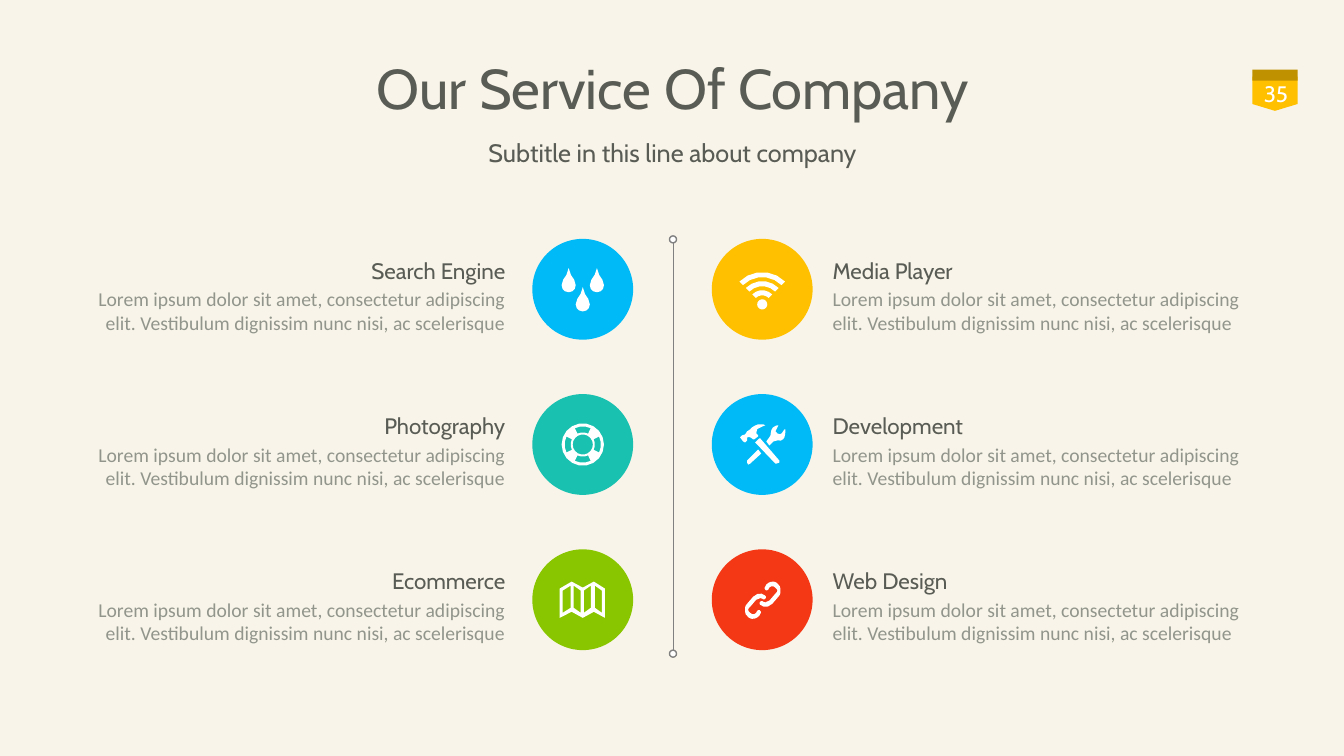
from dataclasses import dataclass
from math import ceil, cos, pi, sin

from lxml.etree import SubElement
from pptx import Presentation
from pptx.dml.color import RGBColor
from pptx.enum.shapes import MSO_CONNECTOR, MSO_SHAPE
from pptx.enum.text import MSO_ANCHOR, MSO_AUTO_SIZE, PP_ALIGN
from pptx.oxml.ns import qn
from pptx.shapes.autoshape import Shape
from pptx.slide import Slide
from pptx.text.text import TextFrame
from pptx.util import Emu, Pt

SCALE = 9144
CREAM = RGBColor(0xF8, 0xF4, 0xE9)
INK = RGBColor(0x59, 0x5C, 0x54)
MUTED = RGBColor(0x91, 0x95, 0x8B)
GRAY = RGBColor(0x80, 0x80, 0x80)
WHITE = RGBColor(0xFF, 0xFF, 0xFF)
GOLD = RGBColor(0xFF, 0xC0, 0x00)
BRONZE = RGBColor(0xBF, 0x90, 0x00)
BLUE = RGBColor(0x00, 0xBA, 0xF7)
TEAL = RGBColor(0x19, 0xC1, 0xB0)
GREEN = RGBColor(0x89, 0xC6, 0x00)
RED = RGBColor(0xF4, 0x38, 0x16)
LOREM = ("Lorem ipsum dolor sit amet, consectetur adipiscing elit. "
         "Vestibulum dignissim nunc nisi, ac scelerisque")
BENDS, SWEEP = 3, 20

Point = tuple[float, float]
Path = list[Point]


@dataclass(frozen=True)
class Side:
    disc: int
    text: int
    align: PP_ALIGN


@dataclass(frozen=True)
class Service:
    name: str
    side: Side
    row: int
    color: RGBColor
    icon: list[Path]


def px(size: float) -> Emu:
    return Emu(round(size * SCALE))


def trace(start: Point, *parts: tuple[Point, ...]) -> Path:
    path = [start]
    for part in parts:
        if len(part) == 3:
            knots = (path[-1], *part)
            for step in range(1, BENDS + 1):
                t = step / BENDS
                mix = ((1 - t) ** 3, 3 * t * (1 - t) ** 2, 3 * t * t * (1 - t), t ** 3)
                path.append((sum(m * k[0] for m, k in zip(mix, knots)),
                             sum(m * k[1] for m, k in zip(mix, knots))))
        else:
            path.extend(part)
    return path


def arc(radius: float, start: float, end: float, y: float = 0) -> Path:
    count = ceil(abs(end - start) / SWEEP)
    turns = [(start + (end - start) * i / count) * pi / 180 for i in range(count + 1)]
    return [(radius * cos(a), y + radius * sin(a)) for a in turns]


def band(outer: float, inner: float, mid: float, half: float, y: float = 0) -> Path:
    return arc(outer, mid - half, mid + half, y) + arc(inner, mid + half, mid - half, y)


def drop(x: int, y: int) -> Path:
    path = trace((0, 0), ((-1, 9), (-7, 10), (-7, 17)), ((-7, 21), (-4, 24), (0, 24)),
                 ((4, 24), (7, 21), (7, 17)), ((7, 10), (1, 9), (0, 0)))
    return [(x + a, y + b) for a, b in path]


def panel(left: int, right: int, rise: float) -> Path:
    high, low = -11.5 + rise, -11.5 - rise
    return [(left, high), (right, low), (right, low + 22), (left, high + 22)]


DROPS = [drop(-14, -21), drop(14, -21), drop(0, -2)]
BUOY = [arc(21, 0, 360), arc(10, 0, 360)] + [band(18, 12, mid, 26) for mid in range(0, 360, 90)]
WAVES = [arc(5, 0, 360, 15)] + [band(r, r - 5, 270, 45, 15) for r in (32, 23, 14)]
CHART = [
    [(-23, -11), (-11, -18), (0, -12), (11, -18), (22, -11),
     (22, 18), (11, 12), (0, 18), (-11, 12), (-23, 18)],
    panel(-20, -12, 2.5), panel(-9, -2, -2.5), panel(1, 8, 2.5), panel(12, 19, -2.5),
]
TOOLS = [
    trace((-15, -7), ((-13, -8), (-11, -7), (-9, -5)), ((-8, -5), (-4, -8)),
          ((-4, -9), (-6, -11)), ((-10, -16), (5, -19), (3, -19)),
          ((1, -20), (-4, -20)), ((-7, -19), (-11, -17), (-12, -15)),
          ((-15, -13), (-17, -10)), ((-20, -9), (-22, -7)),
          ((-19, -3), (-17, -2)), ((-15, -4),)),
    [(-2, -6), (-3, -6), (-7, -2), (13, 19), (14, 19), (17, 18), (17, 16)],
    trace((23, -15), ((22, -15), (20, -12)),
          ((19, -11), (18, -9), (15, -11)), ((13, -13), (14, -15)),
          ((16, -19), (15, -19)), ((14, -19), (9, -17), (9, -14)),
          ((8, -11), (9, -9), (7, -7)), ((4, -3), (7, 1)), ((11, -3), (15, -4)),
          ((19, -3), (21, -5), (22, -7)), ((23, -10), (23, -14), (23, -15))),
    [(-15, 16), (-15, 18), (-14, 20), (-12, 19), (-1, 9), (-4, 5)],
]
HOOK = trace((-5, 11), ((-6, 13),), ((-8, 15), (-10, 15), (-12, 13)),
             ((-13, 12), (-14, 11), (-14, 10)), ((-14, 9), (-13, 8), (-12, 7)),
             ((-6, 0),), ((-4, 0), (-2, -3), (0, -1)), ((1, 0), (2, 0), (3, -1)),
             ((4, -2), (4, -3), (3, -4)), ((0, -7), (-5, -7), (-9, -3)),
             ((-15, 4),), ((-17, 6), (-17, 7), (-17, 10)), ((-17, 12), (-17, 15), (-15, 16)),
             ((-14, 18), (-11, 19), (-10, 19)), ((-7, 19), (-5, 18), (-3, 16)),
             ((-2, 14),), ((-1, 13), (-1, 12), (-2, 11)), ((-2, 10), (-4, 10), (-5, 11)))
LINKS = [HOOK, [(1 - x, 1 - y) for x, y in HOOK]]

LEFT = Side(528, 82, PP_ALIGN.RIGHT)
RIGHT = Side(706, 816, PP_ALIGN.LEFT)
TOP, STEP, DISC = 237, 154, 100
WORKS = [
    Service("Search Engine", LEFT, 0, BLUE, DROPS),
    Service("Photography", LEFT, 1, TEAL, BUOY),
    Service("Ecommerce", LEFT, 2, GREEN, CHART),
    Service("Media Player", RIGHT, 0, GOLD, WAVES),
    Service("Development", RIGHT, 1, BLUE, TOOLS),
    Service("Web Design", RIGHT, 2, RED, LINKS),
]


def paint(shape: Shape, color: RGBColor) -> None:
    shape.shadow.inherit = False
    shape.fill.solid()
    shape.fill.fore_color.rgb = color
    shape.line.fill.background()


def block(slide: Slide, kind: MSO_SHAPE, x: int, y: int, w: int, h: int,
          color: RGBColor) -> Shape:
    shape = slide.shapes.add_shape(kind, px(x), px(y), px(w), px(h))
    paint(shape, color)
    return shape


def write(frame: TextFrame, text: str, size: int, color: RGBColor, align: PP_ALIGN,
          font: str = "Cabin") -> None:
    frame.word_wrap = True
    para = frame.paragraphs[0]
    para.alignment = align
    run = para.add_run()
    run.text = text
    run.font.name = font
    run.font.size = Pt(size)
    run.font.color.rgb = color


def label(slide: Slide, x: int, y: int, w: int, h: int) -> TextFrame:
    frame = slide.shapes.add_textbox(px(x), px(y), px(w), px(h)).text_frame
    frame.auto_size = MSO_AUTO_SIZE.SHAPE_TO_FIT_TEXT
    return frame


def draw(slide: Slide, paths: list[Path], x: int, y: int) -> None:
    spots = [[(px(x + a), px(y + b)) for a, b in path] for path in paths]
    pen = slide.shapes.build_freeform(*spots[0][0], scale=1.0)
    pen.add_line_segments(spots[0][1:], close=True)
    for spot in spots[1:]:
        pen.move_to(*spot[0])
        pen.add_line_segments(spot[1:], close=True)
    paint(pen.convert_to_shape(), WHITE)


def show(slide: Slide, work: Service) -> None:
    side, y = work.side, TOP + work.row * STEP
    write(label(slide, side.text, y + 13, 429, 37), work.name, 16, INK, side.align)
    write(label(slide, side.text, y + 43, 429, 57), LOREM, 14, MUTED, side.align, "Calibri")
    block(slide, MSO_SHAPE.OVAL, side.disc, y, DISC, DISC, work.color)
    draw(slide, work.icon, side.disc + DISC // 2, y + DISC // 2)


def divide(slide: Slide) -> None:
    line = slide.shapes.add_connector(MSO_CONNECTOR.STRAIGHT, px(668), px(237), px(668), px(645))
    line.line.color.rgb = GRAY
    line.line.width = Pt(1)
    SubElement(line.element.spPr, qn("a:effectLst"))
    for y in (234, 645):
        knob = block(slide, MSO_SHAPE.OVAL, 664, y, 7, 7, WHITE)
        knob.line.color.rgb = GRAY
        knob.line.width = Pt(1)


def head(slide: Slide) -> None:
    title = slide.shapes.title
    title.left, title.top, title.width, title.height = px(92), px(45), px(1150), px(91)
    title.text_frame.vertical_anchor = MSO_ANCHOR.MIDDLE
    write(title.text_frame, "Our Service Of Company", 40, INK, PP_ALIGN.CENTER)
    title.text_frame.paragraphs[0].line_spacing = 0.9
    write(label(slide, 378, 131, 578, 40), "Subtitle in this line about company", 18, INK,
          PP_ALIGN.CENTER)
    block(slide, MSO_SHAPE.FLOWCHART_OFFPAGE_CONNECTOR, 1242, 76, 45, 34, GOLD)
    block(slide, MSO_SHAPE.RECTANGLE, 1242, 69, 45, 11, BRONZE)
    badge = label(slide, 1221, 73, 89, 40)
    badge.auto_size = MSO_AUTO_SIZE.NONE
    badge.vertical_anchor = MSO_ANCHOR.MIDDLE
    write(badge, "35", 16, WHITE, PP_ALIGN.CENTER)


def main() -> None:
    deck = Presentation()
    deck.slide_width, deck.slide_height = px(1333), px(750)
    slide = deck.slides.add_slide(deck.slide_layouts[5])
    slide.background.fill.solid()
    slide.background.fill.fore_color.rgb = CREAM
    head(slide)
    divide(slide)
    for work in WORKS:
        show(slide, work)
    deck.save("out.pptx")


if __name__ == "__main__":
    main()
